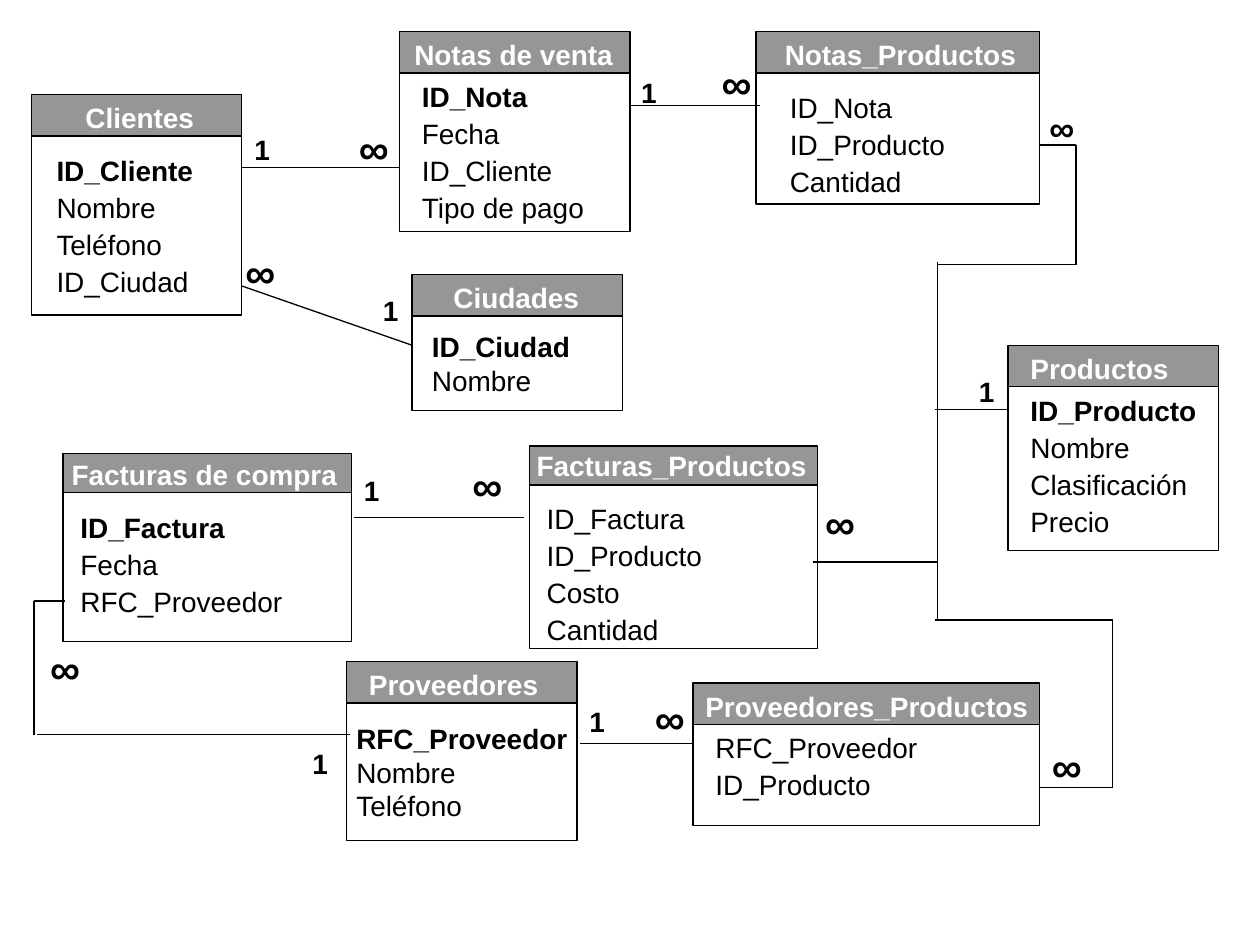
from itertools import pairwise

from lxml import etree
from pptx import Presentation
from pptx.dml.color import RGBColor
from pptx.enum.shapes import MSO_CONNECTOR, MSO_SHAPE
from pptx.enum.text import MSO_AUTO_SIZE
from pptx.oxml.ns import qn
from pptx.util import Inches, Pt

RECTANGLE = MSO_SHAPE.RECTANGLE
STRAIGHT = MSO_CONNECTOR.STRAIGHT
FIT_TEXT = MSO_AUTO_SIZE.SHAPE_TO_FIT_TEXT

COLORS = {"ink": "000000", "header": "969696", "title": "FFFFFF"}
HEADER_HEIGHT = 0.33
TITLE_HEIGHT = 0.37

# Each entity: title, title box (left, top, width), header (left, top, width, height),
# body (top, height), fields, fields box (left, top, width, height), key in bold, spacing
ENTITIES = [
    ("Clientes", (0.58, 0.75, 1.25), (0.25, 0.75, 1.67, HEADER_HEIGHT), (1.08, 1.42),
     ["ID_Cliente", "Nombre", "Teléfono", "ID_Ciudad"], (0.35, 1.17, 1.89, 1.25), True, 2),
    ("Notas de venta", (3.19, 0.25, 1.9), (3.17, 0.25, 1.83, HEADER_HEIGHT), (0.58, 1.26),
     ["ID_Nota", "Fecha", "ID_Cliente", "Tipo de pago"], (3.25, 0.58, 1.92, 1.25), True, 2),
    ("Notas_Productos", (6.13, 0.25, 2.12), (6, 0.25, 2.25, HEADER_HEIGHT), (0.58, 1.04),
     ["ID_Nota", "ID_Producto", "Cantidad"], (6.17, 0.67, 1.92, 0.96), False, 2),
    ("Ciudades", (3.5, 2.18, 1.25), (3.27, 2.18, 1.67, HEADER_HEIGHT), (2.51, 0.75),
     ["ID_Ciudad", "Nombre"], (3.33, 2.57, 1.93, 0.64), True, 0),
    ("Facturas_Productos", (4.16, 3.51, 2.41), (4.2, 3.54, 2.29, 0.31), (3.82, 1.33),
     ["ID_Factura", "ID_Producto", "Costo", "Cantidad"], (4.24, 3.93, 1.92, 1.25), False, 2),
    ("Productos", (8.08, 2.74, 1.58), (8, 2.74, 1.67, HEADER_HEIGHT), (3.07, 1.3),
     ["ID_Producto", "Nombre", "Clasificación", "Precio"], (8.08, 3.07, 1.67, 1.25), True, 2),
    ("Proveedores_Productos", (5.5, 5.42, 2.83), (5.5, 5.42, 2.75, HEADER_HEIGHT), (5.75, 0.8),
     ["RFC_Proveedor", "ID_Producto"], (5.58, 5.75, 1.92, 0.66), False, 2),
    ("Proveedores", (2.83, 5.25, 1.58), (2.75, 5.25, 1.83, HEADER_HEIGHT), (5.58, 1.09),
     ["RFC_Proveedor", "Nombre", "Teléfono"], (2.73, 5.68, 1.93, 0.9), True, 0),
    ("Facturas de compra", (0.47, 3.58, 2.41), (0.5, 3.6, 2.29, 0.31), (3.89, 1.2),
     ["ID_Factura", "Fecha", "RFC_Proveedor"], (0.54, 4, 1.92, 0.96), True, 2),
]

RELATIONS = [
    [(1.92, 1.33), (3.17, 1.33)],
    [(6.03, 0.84), (5, 0.84)],
    [(1.92, 2.27), (3.27, 2.74)],
    [(6.45, 4.46), (7.44, 4.46)],
    [(2.81, 4.11), (4.16, 4.11)],
    [(5.5, 5.9), (4.6, 5.9)],
    [(8.25, 1.15), (8.54, 1.15), (8.54, 2.1), (7.44, 2.1)],
    [(7.44, 2.08), (7.44, 3.25), (7.44, 4.92)],
    [(7.42, 3.25), (8, 3.25)],
    [(7.42, 4.92), (8.83, 4.92), (8.83, 6.25), (8.25, 6.25)],
    [(2.78, 5.83), (0.29, 5.83)],
    [(0.27, 5.83), (0.27, 4.77), (0.52, 4.77)],
]

ONE_MARKS = [(1.92, 1), (4.99, 0.55), (2.79, 3.71), (2.94, 2.28),
             (7.67, 2.92), (4.58, 5.54), (2.38, 5.88)]
MANY_MARKS = [(2.75, 0.92), (5.63, 0.41), (3.65, 3.6), (1.85, 1.91),
              (8.25, 5.83), (5.1, 5.45), (0.3, 5.05), (6.45, 3.9)]


class Diagram:
    """Draw the parts of an entity-relationship diagram on one slide."""

    def __init__(self, slide, font="Arial", size=16, line_width=0.75):
        self.slide = slide
        self.font = font
        self.size = size
        self.line_width = line_width

    def color(self, name):
        return RGBColor.from_string(COLORS[name])

    def outline(self, line):
        line.color.rgb = self.color("ink")
        line.width = Pt(self.line_width)

    def box(self, left, top, width, height, fill=None):
        shape = self.slide.shapes.add_shape(RECTANGLE, *map(Inches, (left, top, width, height)))
        shape.shadow.inherit = False
        if fill:
            shape.fill.solid()
            shape.fill.fore_color.rgb = self.color(fill)
        else:
            shape.fill.background()
        self.outline(shape.line)

    def text(self, lines, area, color="ink", bold_lines=1, size=None, spacing=2):
        frame = self.slide.shapes.add_textbox(*map(Inches, area)).text_frame
        frame.word_wrap = True
        frame.auto_size = FIT_TEXT
        frame.text = "\n".join(lines)
        for index, paragraph in enumerate(frame.paragraphs):
            paragraph.space_before = Pt(spacing)
            paragraph.font.name = self.font
            paragraph.font.size = Pt(size or self.size)
            paragraph.font.bold = index < bold_lines
            paragraph.font.color.rgb = self.color(color)

    def entity(self, title, title_area, header, body, fields, fields_area, has_key, spacing):
        left, _, width, _ = header
        body_top, body_height = body
        self.box(left, body_top, width, body_height)
        self.box(*header, fill="header")
        self.text([title], (*title_area, TITLE_HEIGHT), color="title")
        self.text(fields, fields_area, bold_lines=int(has_key), spacing=spacing)

    def relation(self, points):
        for start, end in pairwise(points):
            connector = self.slide.shapes.add_connector(STRAIGHT, *map(Inches, (*start, *end)))
            self.outline(connector.line)
            etree.SubElement(connector._element.spPr, qn("a:effectLst"))

    def mark(self, symbol, left, top, width, height, size):
        self.text([symbol], (left, top, width, height), size=size, spacing=size * 0.625)


def main():
    presentation = Presentation()
    presentation.slide_width = Inches(10)
    presentation.slide_height = Inches(7.5)
    diagram = Diagram(presentation.slides.add_slide(presentation.slide_layouts[6]))
    for entity in ENTITIES:
        diagram.entity(*entity)
    for points in RELATIONS:
        diagram.relation(points)
    for left, top in ONE_MARKS:
        diagram.mark("1", left, top, 0.25, 0.37, 16)
    for left, top in MANY_MARKS:
        diagram.mark("∞", left, top, 0.5, 0.5, 24)
    diagram.mark("∞", 8.23, 0.8, 0.5, 0.44, 20)
    presentation.save("out.pptx")


if __name__ == "__main__":
    main()
